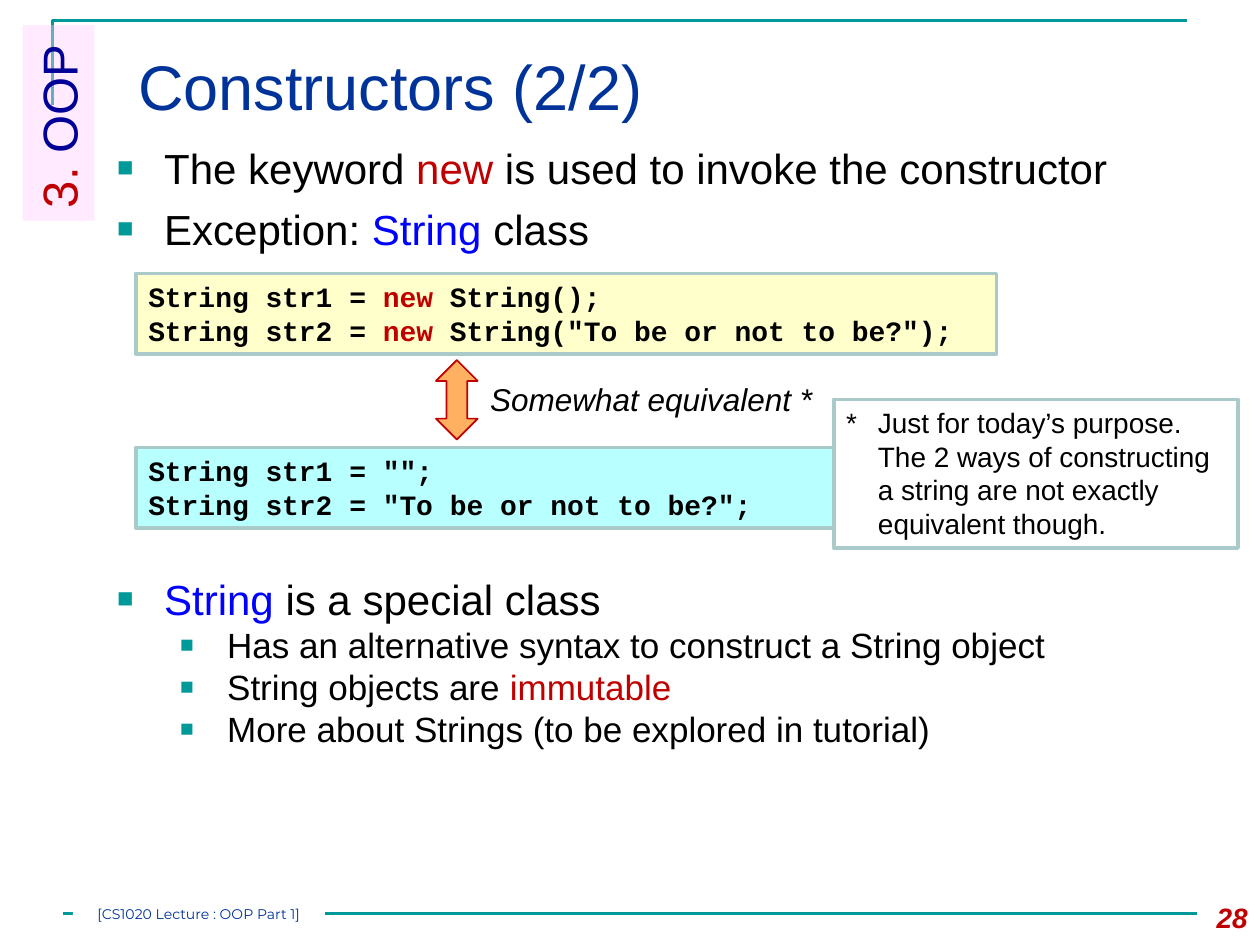
from lxml import etree
from pptx import Presentation
from pptx.dml.color import RGBColor
from pptx.enum.shapes import MSO_CONNECTOR, MSO_SHAPE
from pptx.enum.text import MSO_ANCHOR, PP_ALIGN
from pptx.oxml.ns import qn
from pptx.util import Cm, Pt

RECT, ARROW = MSO_SHAPE.RECTANGLE, MSO_SHAPE.UP_DOWN_ARROW
TOP, MIDDLE = MSO_ANCHOR.TOP, MSO_ANCHOR.MIDDLE
LEFT, CENTER, RIGHT = PP_ALIGN.LEFT, PP_ALIGN.CENTER, PP_ALIGN.RIGHT

BLACK = RGBColor(0x00, 0x00, 0x00)
WHITE = RGBColor(0xFF, 0xFF, 0xFF)
TEAL = RGBColor(0x00, 0x99, 0x99)
NAVY = RGBColor(0x00, 0x33, 0x99)
INDIGO = RGBColor(0x00, 0x00, 0x99)
BLUE = RGBColor(0x00, 0x00, 0xFF)
RED = RGBColor(0xC0, 0x00, 0x00)
PINK = RGBColor(0xFF, 0xCC, 0xFF)
YELLOW = RGBColor(0xFF, 0xFF, 0xCC)
CYAN = RGBColor(0xB8, 0xFF, 0xFF)
ORANGE = RGBColor(0xFF, 0xB0, 0x61)
BORDER = RGBColor(0xAA, 0xCA, 0xCA)

prs = Presentation()
prs.slide_width, prs.slide_height = Cm(25.4), Cm(19.05)
s = prs.slides.add_slide(prs.slide_layouts[6])


def add_shape(kind, x, y, w, h, fill, line=None, width=2):
    sp = s.shapes.add_shape(kind, Cm(x), Cm(y), Cm(w), Cm(h))
    sp.shadow.inherit = False
    sp.fill.solid()
    sp.fill.fore_color.rgb = fill
    if line is None:
        sp.line.fill.background()
    else:
        sp.line.color.rgb = line
        sp.line.width = Pt(width)
    return sp


def add_text(text, box=None, sp=None, size=16, font="Arial", color=BLACK,
             bold=False, italic=False, align=LEFT, anchor=TOP, margin=None,
             hang=0, indent=0, before=0, bullet=False, more=False):
    """Write a list of (text, colour) runs, or a string, as one paragraph."""
    if sp is None:
        sp = s.shapes.add_textbox(*[Cm(v) for v in box])
    tf = sp.text_frame
    tf.word_wrap = True
    tf.vertical_anchor = anchor
    if margin is not None:
        tf.margin_left = tf.margin_right = tf.margin_top = tf.margin_bottom = margin
    p = tf.add_paragraph() if more else tf.paragraphs[0]
    p.alignment = align
    p.space_before = Pt(before)
    pPr = p._p.get_or_add_pPr()
    if hang:
        pPr.set("marL", str(Cm(indent + hang)))
        pPr.set("indent", str(-Cm(hang)))
    if bullet:
        clr = etree.SubElement(pPr, qn("a:buClr"))
        etree.SubElement(clr, qn("a:srgbClr"), val=str(TEAL))
        etree.SubElement(pPr, qn("a:buSzPct"), val="65000")
        etree.SubElement(pPr, qn("a:buFont"), typeface="Arial")
        etree.SubElement(pPr, qn("a:buChar"), char="■")
    for words, c in [(text, color)] if isinstance(text, str) else text:
        r = p.add_run()
        r.text = words
        r.font.name, r.font.size = font, Pt(size)
        r.font.bold, r.font.italic = bold, italic
        r.font.color.rgb = c
    return sp


# Frame lines
fb = s.shapes.build_freeform(Cm(1.06), Cm(2.12))
fb.add_line_segments([(Cm(1.06), Cm(0.42)), (Cm(23.92), Cm(0.42))], close=False)
corner = fb.convert_to_shape()
corner.shadow.inherit = False
corner.fill.background()
footer_line = s.shapes.add_connector(MSO_CONNECTOR.STRAIGHT, Cm(1.27), Cm(18.42),
                                     Cm(24.13), Cm(18.42))
etree.SubElement(footer_line._element.spPr, qn("a:effectLst"))
for rule in (corner, footer_line):
    rule.line.color.rgb = TEAL
    rule.line.width = Pt(1.5)

# Title and slide number
add_text("Constructors (2/2)", box=(2.54, 0.64, 21.59, 2.18), size=36,
         color=NAVY, anchor=MIDDLE)
add_text("28", box=(23.7, 18.03, 1.7, 1.02), color=RED, bold=True, italic=True,
         align=RIGHT)

# Upper bullets
upper = add_text([("The keyword ", BLACK), ("new", RED),
                  (" is used to invoke the constructor", BLACK)],
                 box=(2.11, 2.74, 22.23, 2.54), size=24, hang=0.95, bullet=True)
add_text([("Exception: ", BLACK), ("String", BLUE), (" class", BLACK)],
         sp=upper, size=24, hang=0.95, before=6, bullet=True, more=True)

# Section tab, turned to read upwards
tab = add_shape(RECT, -0.79, 1.75, 3.94, 1.45, PINK)
tab.rotation = 270
rgb = tab.fill._xPr.find(qn("a:solidFill")).find(qn("a:srgbClr"))
etree.SubElement(rgb, qn("a:alpha"), val="40000")
add_text([("3.", RED), (" OOP", INDIGO)], sp=tab, size=28)

# Code boxes
code_boxes = [
    (5.51, YELLOW, [
        [("String str1 = ", BLACK), ("new", RED), (" String();", BLACK)],
        [("String str2 = ", BLACK), ("new", RED),
         (' String("To be or not to be?");', BLACK)]]),
    (9.02, CYAN, ['String str1 = "";', 'String str2 = "To be or not to be?";']),
]
for y, fill, lines in code_boxes:
    code = add_shape(RECT, 2.74, y, 17.35, 1.63, fill, BORDER)
    for i, line in enumerate(lines):
        add_text(line, sp=code, font="Courier New", bold=True, more=i > 0)

# Equivalence arrow and label
add_shape(ARROW, 8.79, 7.26, 0.84, 1.6, ORANGE, RED, 1)
add_text("Somewhat equivalent *", box=(9.42, 7.54, 7.42, 1.02), size=18,
         italic=True, align=CENTER)

# Lower bullets
lower = add_text([("String", BLUE), (" is a special class", BLACK)],
                 box=(2.11, 11.43, 22.02, 4.24), size=24, hang=0.95, bullet=True)
for item in (
    "Has an alternative syntax to construct a String object",
    [("String objects are ", BLACK), ("immutable", RED)],
    "More about Strings (to be explored in tutorial)",
):
    add_text(item, sp=lower, size=20, hang=0.95, indent=1.27, bullet=True, more=True)

# Footnote
note = add_shape(RECT, 16.81, 8.05, 8.15, 3, WHITE, BORDER)
add_text("*\tJust for today’s purpose. The 2 ways of constructing a string "
         "are not exactly equivalent though.", sp=note, hang=0.64)

# Footer label
footer = add_shape(RECT, 1.47, 18.21, 5.08, 0.43, WHITE)
add_text("[CS1020 Lecture : OOP Part 1]", sp=footer, size=8, font="Montserrat",
         color=NAVY, align=CENTER, anchor=MIDDLE, margin=0)

prs.save("out.pptx")
